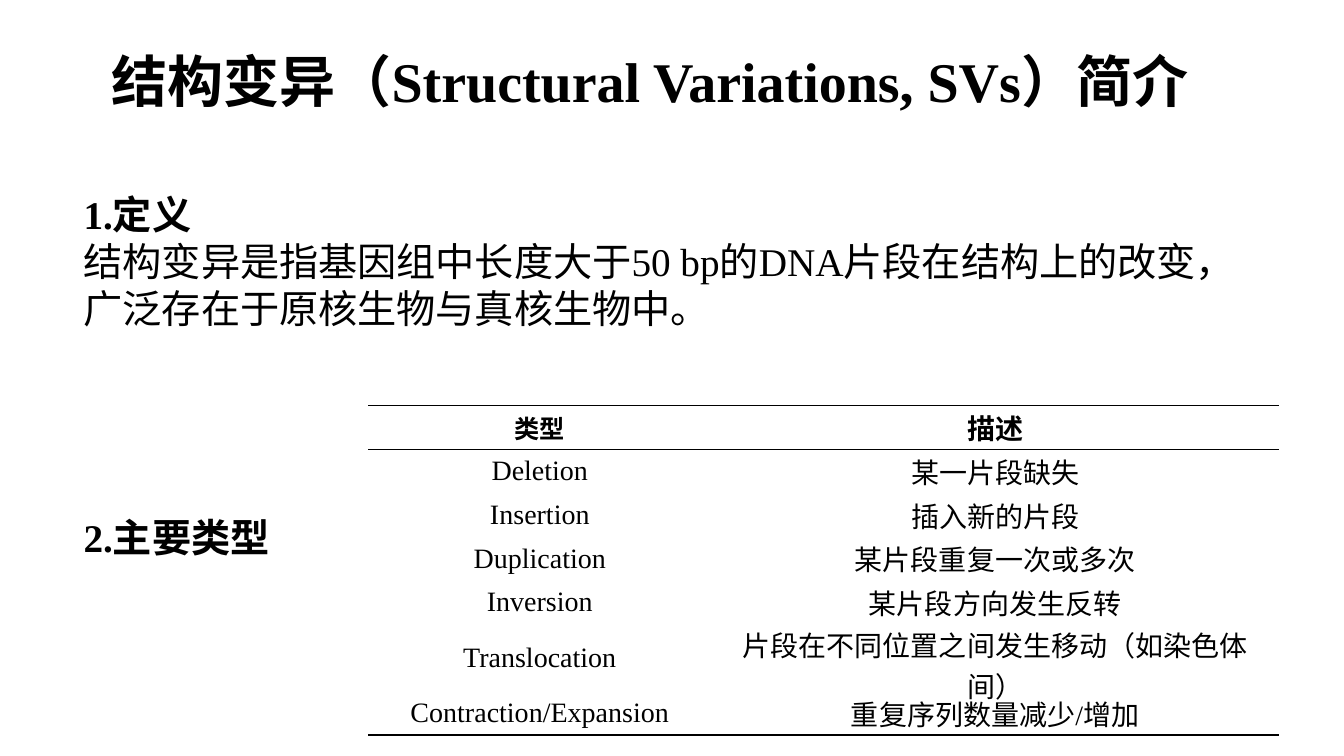
import pptx
import pptx.util
import pptx.dml.color
import pptx.enum.text
import pptx.oxml.ns
import lxml.etree

Pt = pptx.util.Pt
ALIGN = pptx.enum.text.PP_ALIGN
ANCHOR = pptx.enum.text.MSO_ANCHOR
COLORS = {"text": "000000", "rule": "000000"}
FONT = "Times New Roman"

TYPES = [
    ("类型", "描述"),
    ("Deletion", "某一片段缺失"),
    ("Insertion", "插入新的片段"),
    ("Duplication", "某片段重复一次或多次"),
    ("Inversion", "某片段方向发生反转"),
    ("Translocation", "片段在不同位置之间发生移动（如染色体间）"),
    ("Contraction/Expansion", "重复序列数量减少/增加"),
]


def add_run(paragraph, text, size, bold=False, align=ALIGN.LEFT):
    paragraph.alignment = align
    run = paragraph.add_run()
    run.text = text
    run.font.name = FONT
    run.font.size = Pt(size)
    run.font.bold = bold
    run.font.color.rgb = pptx.dml.color.RGBColor.from_string(COLORS["text"])


def add_title(slide, left, top, width, height):
    title = slide.shapes.title
    title.left, title.top, title.width, title.height = map(Pt, (left, top, width, height))
    frame = title.text_frame
    frame.word_wrap = True
    frame.auto_size = pptx.enum.text.MSO_AUTO_SIZE.NONE
    frame.vertical_anchor = ANCHOR.TOP
    add_run(frame.paragraphs[0], "结构变异（Structural Variations, SVs）简介", 40, True)


def add_section(slide, left, top, width, height, heading, body=None):
    frame = slide.shapes.add_textbox(*map(Pt, (left, top, width, height))).text_frame
    frame.word_wrap = True
    add_run(frame.paragraphs[0], heading, 28, True)
    if body:
        add_run(frame.add_paragraph(), body, 28)


def set_borders(cell, ruled_edges):
    properties = cell._tc.get_or_add_tcPr()
    for edge in "LRTB":
        line = lxml.etree.SubElement(properties, pptx.oxml.ns.qn(f"a:ln{edge}"), w=str(Pt(1)))
        if edge in ruled_edges:
            fill = lxml.etree.SubElement(line, pptx.oxml.ns.qn("a:solidFill"))
            lxml.etree.SubElement(fill, pptx.oxml.ns.qn("a:srgbClr"), val=COLORS["rule"])
        else:
            lxml.etree.SubElement(line, pptx.oxml.ns.qn("a:noFill"))


def add_types_table(slide, left, top, width, height):
    frame = slide.shapes.add_table(len(TYPES), 2, *map(Pt, (left, top, width, height)))
    table = frame.table
    table.first_row = table.horz_banding = False
    type_width = 244.8
    table.columns[0].width = Pt(type_width)
    table.columns[1].width = Pt(width - type_width)

    # Three-line table: rules above and below the header and at the foot
    ruled_edges = {0: "TB", 1: "T", len(TYPES) - 1: "B"}
    for row, texts in enumerate(TYPES):
        table.rows[row].height = Pt(height / len(TYPES))
        for column, text in enumerate(texts):
            cell = table.cell(row, column)
            cell.margin_top = cell.margin_bottom = 0
            cell.vertical_anchor = ANCHOR.MIDDLE
            set_borders(cell, ruled_edges.get(row, ""))
            cell.fill.background()
            size = 18 if row == column == 0 else 20
            add_run(cell.text_frame.paragraphs[0], text, size, row == 0, ALIGN.CENTER)


def build_slide(presentation):
    slide = presentation.slides.add_slide(presentation.slide_layouts[5])
    add_title(slide, 72.7, 29.5, 815, 55.4)

    # Definition
    add_section(slide, 52.6, 132.5, 855.4, 108.7, "1.定义",
                "结构变异是指基因组中长度大于50 bp的DNA片段在结构上的改变，"
                "广泛存在于原核生物与真核生物中。")

    # Main types
    add_section(slide, 52.6, 362.9, 202.3, 41, "2.主要类型")
    add_types_table(slide, 263.2, 289.8, 650.5, 218.4)


def main():
    presentation = pptx.Presentation()
    presentation.slide_width = Pt(960)
    presentation.slide_height = Pt(540)
    build_slide(presentation)
    presentation.save("out.pptx")


if __name__ == "__main__":
    main()
